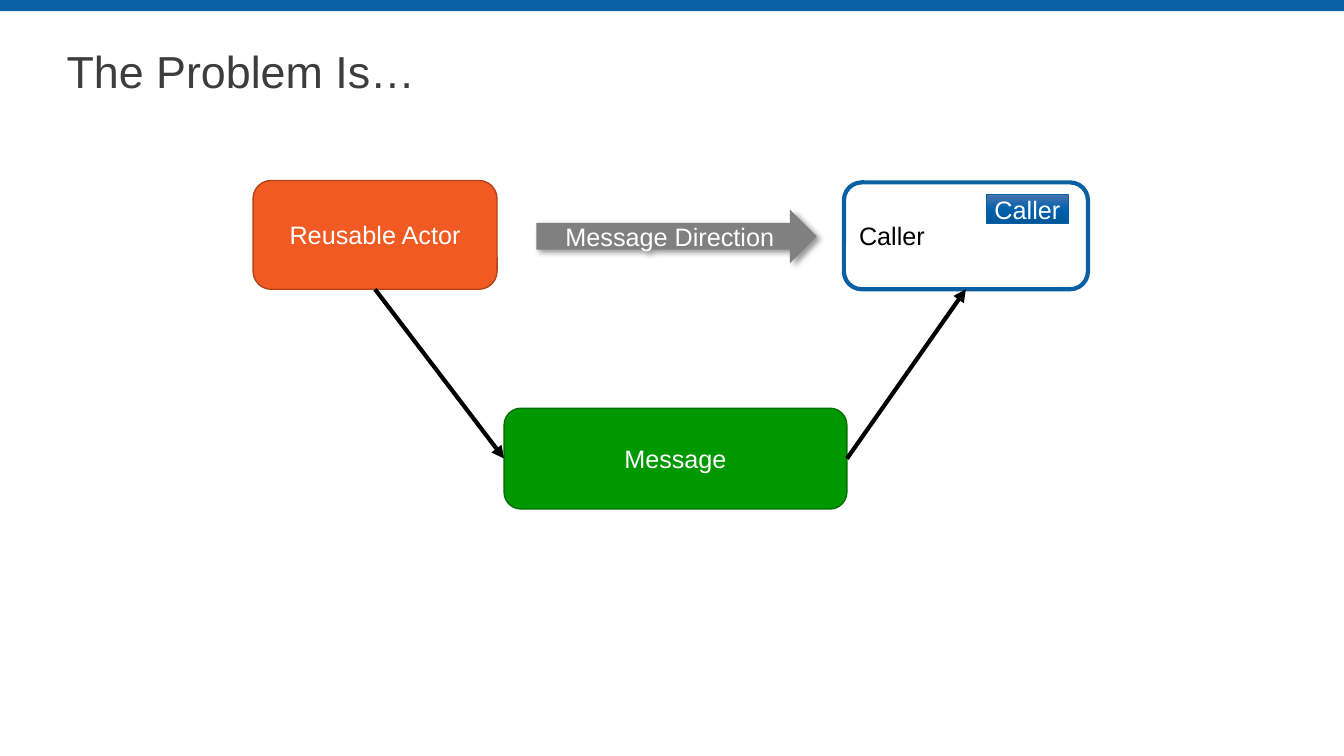
import copy

import pptx
import pptx.dml.color
import pptx.enum.shapes
import pptx.enum.text
import pptx.oxml
import pptx.oxml.ns
import pptx.util

Inches = pptx.util.Inches
Pt = pptx.util.Pt
KIND = pptx.enum.shapes.MSO_SHAPE
ALIGN = pptx.enum.text.PP_ALIGN
ANCHOR = pptx.enum.text.MSO_ANCHOR
TOP, LEFT, BOTTOM, RIGHT = range(4)

COLORS = {
    "blue": "0A60A3", "title": "3D3D3D", "white": "FFFFFF", "black": "000000",
    "orange": "F15A22", "rust": "B24319", "green": "009800", "moss": "007000",
    "gray": "808080", "light": "4B74AF", "mid": "0261AB", "deep": "00569A",
}


def color(name):
    return pptx.dml.color.RGBColor.from_string(COLORS[name])


def add_effects(shape, inner=""):
    """Give a shape its own effect list, empty unless inner holds effects."""
    ns = pptx.oxml.ns.nsdecls("a")
    xml = f"<a:effectLst {ns}>{inner}</a:effectLst>"
    shape._element.spPr.append(pptx.oxml.parse_xml(xml))


def write(shape, text, tint, size=18, align=ALIGN.CENTER):
    frame = shape.text_frame
    frame.vertical_anchor = ANCHOR.MIDDLE
    para = frame.paragraphs[0]
    para.alignment = align
    run = para.add_run()
    run.text = text
    run.font.name = "Arial"
    run.font.size = Pt(size)
    run.font.color.rgb = color(tint)


def pad_sides(shape):
    shape.text_frame.margin_left = shape.text_frame.margin_right = 0


def add_block(slide, kind, box, fill, line=None, width=1):
    shape = slide.shapes.add_shape(kind, *map(Inches, box))
    shape.shadow.inherit = False
    shape.fill.solid()
    shape.fill.fore_color.rgb = color(fill)
    if line:
        shape.line.color.rgb = color(line)
        shape.line.width = Pt(width)
    else:
        shape.line.fill.background()
    return shape


def add_link(slide, start, site, end, goal):
    link = slide.shapes.add_connector(
        pptx.enum.shapes.MSO_CONNECTOR.STRAIGHT, 0, 0, 0, 0)
    link.begin_connect(start, site)
    link.end_connect(end, goal)
    link.line.color.rgb = color("black")
    link.line.width = Pt(3)
    ns = pptx.oxml.ns.nsdecls("a")
    head = pptx.oxml.parse_xml(f'<a:tailEnd {ns} type="triangle"/>')
    link.line._get_or_add_ln().append(head)
    add_effects(link)


def add_header(slide, box):
    x, y, w, _ = box
    add_block(slide, KIND.RECTANGLE, (x, y, w, 0.11), "blue")
    title = slide.shapes.title
    title.left, title.top = Inches(x + 0.66), Inches(y + 0.4)
    title.width, title.height = Inches(12), Inches(0.67)
    pad_sides(title)
    write(title, "The Problem Is…", "title", 32, ALIGN.LEFT)
    title.text_frame.paragraphs[0].line_spacing = 0.9


def add_arrow(slide, box):
    arrow = add_block(slide, KIND.RIGHT_ARROW, box, "gray")
    arrow._element.spPr.remove(
        arrow._element.spPr.find(pptx.oxml.ns.qn("a:effectLst")))
    add_effects(
        arrow,
        f'<a:outerShdw blurRad="{Pt(4)}" dist="{Pt(3)}" dir="2700000" '
        f'algn="tl" rotWithShape="0"><a:srgbClr val="{COLORS["black"]}">'
        '<a:alpha val="40000"/></a:srgbClr></a:outerShdw>')
    write(arrow, "Message Direction", "white")


def add_badge(slide, box):
    badge = add_block(slide, KIND.RECTANGLE, box, "blue", "blue", 0.5)
    badge.fill.gradient()
    badge.fill.gradient_angle = 270
    stops = badge._element.spPr.find(".//" + pptx.oxml.ns.qn("a:gsLst"))
    stops.insert(1, copy.deepcopy(stops[0]))
    names = ("light", "mid", "deep")
    for i, (stop, name) in enumerate(zip(badge.fill.gradient_stops, names)):
        stop.position = i / 2
        stop.color.rgb = color(name)
    pad_sides(badge)
    write(badge, "Caller", "white")


def add_flow(slide, box):
    """Draw the actor, message and caller with the arrows between them."""
    x, y, w, h = box
    round_box = KIND.ROUNDED_RECTANGLE
    actor = add_block(slide, round_box, (x, y, 2.42, 1.08), "orange", "rust")
    write(actor, "Reusable Actor", "white")
    caller = add_block(slide, round_box, (x + w - 2.42, y + 0.02, 2.42, 1.06),
                       "white", "blue", 3)
    write(caller, "Caller", "black", align=ALIGN.LEFT)
    message = add_block(slide, round_box, (x + 2.49, y + h - 1, 3.4, 1),
                        "green", "moss")
    write(message, "Message", "white")
    add_link(slide, message, RIGHT, caller, BOTTOM)
    add_link(slide, actor, BOTTOM, message, LEFT)
    add_arrow(slide, (x + 2.81, y + 0.29, 2.78, 0.53))
    add_badge(slide, (x + w - 1.01, y + 0.14, 0.82, 0.29))


def main():
    deck = pptx.Presentation()
    deck.slide_width, deck.slide_height = Inches(13.33), Inches(7.5)
    slide = deck.slides.add_slide(deck.slide_layouts[5])
    add_header(slide, (0, 0, 13.33, 1.07))
    add_flow(slide, (2.51, 1.79, 8.28, 3.26))
    deck.save("out.pptx")


if __name__ == "__main__":
    main()
